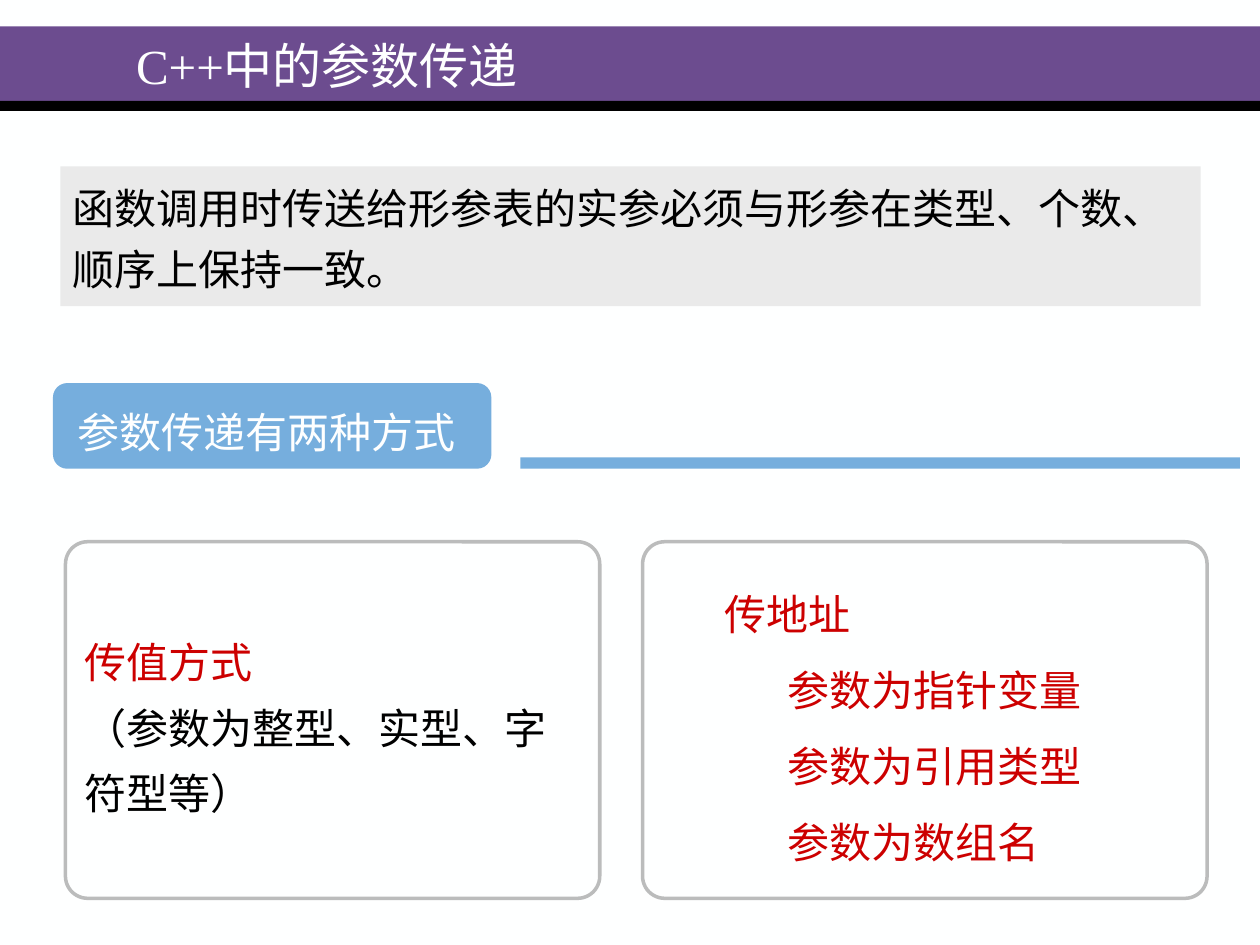
"""Build a slide on how C++ passes parameters."""
import pptx
import pptx.dml.color
import pptx.enum.shapes
import pptx.enum.text
import pptx.util

Inches = pptx.util.Inches
Pt = pptx.util.Pt
SHAPES = pptx.enum.shapes.MSO_SHAPE
ANCHORS = pptx.enum.text.MSO_ANCHOR
ALIGN = pptx.enum.text.PP_ALIGN

WHITE, BLACK, RED = "FEFFFF", "000000", "CC0000"
PURPLE, BLUE, PALE, GREY = "6C4C8F", "76AEDD", "EAEAEA", "BBBCBC"

TITLE = "C++中的参数传递"
RULE = "函数调用时传送给形参表的实参必须与形参在类型、个数、顺序上保持一致。"
HEADING = "参数传递有两种方式"
BY_VALUE = [(0, [("传值方式\v", RED), ("（参数为整型、实型、字符型等）", BLACK)])]
BY_ADDRESS = [
    (0.5, [("传地址", RED)]),
    (1, [("参数为指针变量", RED)]),
    (1, [("参数为引用类型", RED)]),
    (1, [("参数为数组名", RED)]),
]
BANDS = [((0, 0.21, 10, 0.59), PURPLE), ((0, 0.8, 10, 0.08), BLACK)]
CARDS = [(0.52, 4.24, BY_VALUE), (5.1, 4.48, BY_ADDRESS)]
CARD_TOP, CARD_HEIGHT = 4.3, 2.83


def paint(target, color):
    target.rgb = pptx.dml.color.RGBColor.from_string(color)


def add_block(page, place, color, radius=None, outline=None):
    kind = SHAPES.RECTANGLE if radius is None else SHAPES.ROUNDED_RECTANGLE
    block = page.shapes.add_shape(kind, *map(Inches, place))
    if radius is not None:
        block.adjustments[0] = radius
    block.shadow.inherit = False
    block.fill.solid()
    paint(block.fill.fore_color, color)
    if outline:
        block.line.width = Pt(2)
        paint(block.line.color, outline)
    else:
        block.line.fill.background()
    return block


def write(box, paragraphs, size=24, spacing=1.0, before=0, anchor=ANCHORS.TOP):
    frame = box.text_frame
    frame.word_wrap = True
    frame.auto_size = pptx.enum.text.MSO_AUTO_SIZE.NONE
    frame.vertical_anchor = anchor
    for index, (indent, spans) in enumerate(paragraphs):
        para = frame.add_paragraph() if index else frame.paragraphs[0]
        para.alignment = ALIGN.LEFT
        para.line_spacing = spacing
        para.space_before = Pt(before)
        para.font.size = Pt(size)
        para.font.name = "Times New Roman"
        if indent:
            para._p.get_or_add_pPr().set("marL", str(Inches(indent)))
        for text, color in spans:
            if text.endswith("\v"):
                span = para.add_run()
                span.text = text[:-1]
                para.add_line_break()
            else:
                span = para.add_run()
                span.text = text
            span.font.size = Pt(size)
            span.font.name = "Times New Roman"
            paint(span.font.color, color)


def main():
    deck = pptx.Presentation()
    deck.slide_width, deck.slide_height = Inches(10), Inches(7.5)
    page = deck.slides.add_slide(deck.slide_layouts[5])
    page.background.fill.solid()
    paint(page.background.fill.fore_color, WHITE)

    for place, color in BANDS:
        add_block(page, place, color)
    title = page.shapes.title
    title.left, title.top, title.width, title.height = map(Inches, (0.98, 0.05, 6.5, 0.93))
    title.element.getparent().append(title.element)
    write(title, [(0, [(TITLE, WHITE)])], size=28, anchor=ANCHORS.MIDDLE)

    rule = add_block(page, (0.48, 1.32, 9.05, 1.11), PALE)
    write(rule, [(0, [(RULE, BLACK)])], spacing=1.2)

    add_block(page, (0.42, 3.04, 3.48, 0.68), BLUE, radius=0.167)
    heading = page.shapes.add_textbox(*map(Inches, (0.52, 3.06, 3.22, 0.72)))
    write(heading, [(0, [(HEADING, WHITE)])], spacing=1.3)
    add_block(page, (4.13, 3.63, 5.71, 0.09), BLUE)

    for left, width, paragraphs in CARDS:
        place = (left, CARD_TOP, width, CARD_HEIGHT)
        card = add_block(page, place, WHITE, radius=0.062, outline=GREY)
        write(card, paragraphs, spacing=1.3, before=6, anchor=ANCHORS.MIDDLE)

    deck.save("out.pptx")


if __name__ == "__main__":
    main()
